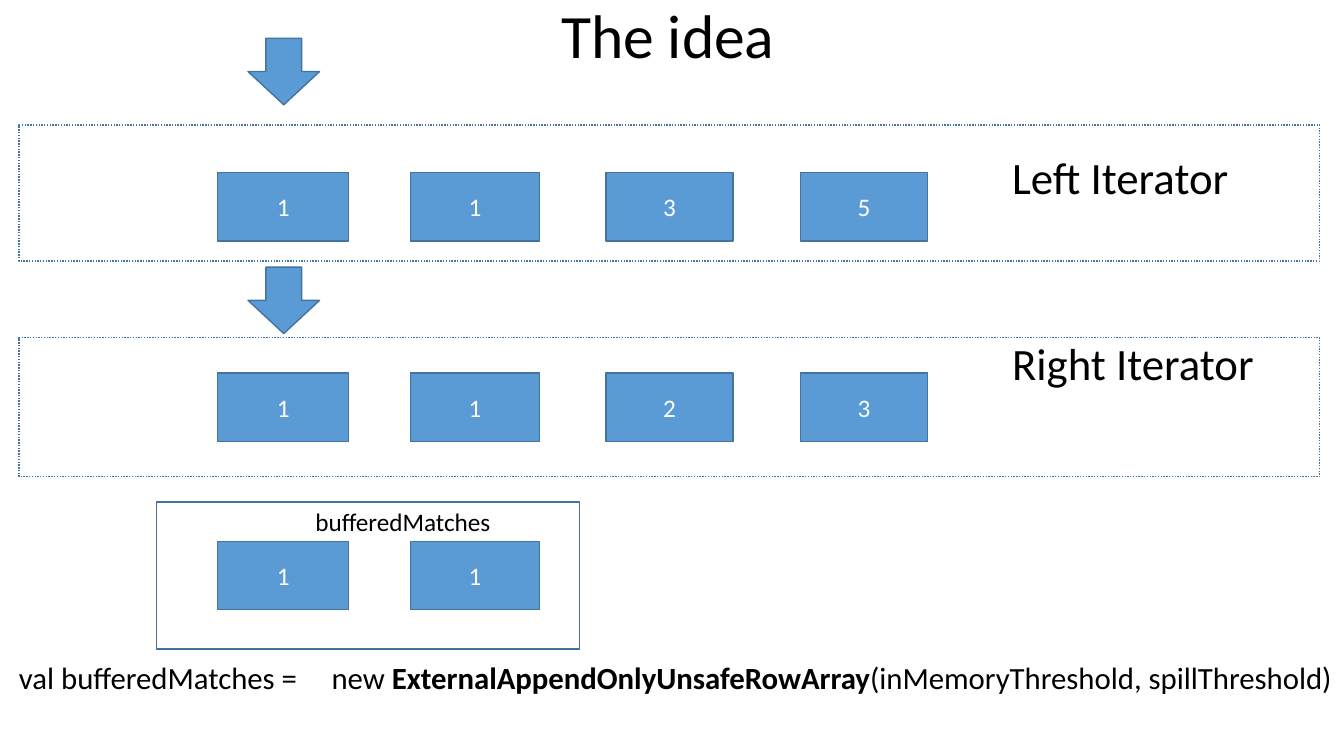
from dataclasses import dataclass

from lxml import etree
from pptx import Presentation
from pptx import util as u
from pptx.dml.color import RGBColor
from pptx.enum import dml, shapes, text

FONT = "Calibri"
BLUE, EDGE, BLACK, WHITE = "5B9BD5", "43739E", "000000", "FFFFFF"
TUPLE_HEIGHT = 0.68
COLUMNS = ((2.16, 1.3), (4.07, 1.28), (6.01, 1.26), (7.94, 1.26))


@dataclass(frozen=True)
class Box:
    left: float
    top: float
    width: float
    height: float


@dataclass(frozen=True)
class Frame:
    box: Box
    dash: dml.MSO_LINE | None = None


@dataclass(frozen=True)
class Row:
    top: float
    values: str


@dataclass(frozen=True)
class Label:
    box: Box
    words: tuple[str, ...]
    size: int
    bold_word: int | None = None


FRAMES = (
    Frame(Box(1.55, 4.98, 4.2, 1.46)),
    Frame(Box(0.19, 1.24, 12.9, 1.35), dml.MSO_LINE.ROUND_DOT),
    Frame(Box(0.19, 3.35, 12.9, 1.38), dml.MSO_LINE.ROUND_DOT),
)
ROWS = (Row(1.71, "1135"), Row(3.7, "1123"), Row(5.37, "11"))
ARROW_TOPS = (0.38, 2.65)
CODE = Label(
    Box(0.09, 6.49, 13.33, 0.47),
    (
        "val bufferedMatches =\tnew ",
        "ExternalAppendOnlyUnsafeRowArray",
        "(inMemoryThreshold, spillThreshold)",
    ),
    22,
    bold_word=1,
)
LABELS = (
    Label(Box(9.94, 1.44, 2.99, 0.64), ("Left Iterator",), 32),
    Label(Box(9.94, 3.28, 2.99, 0.64), ("Right Iterator",), 32),
    Label(Box(3.03, 4.97, 2.23, 0.4), ("bufferedMatches",), 18),
)


def color(value: str) -> RGBColor:
    return RGBColor.from_string(value)


def place(box: Box) -> tuple[u.Length, ...]:
    return tuple(u.Inches(x) for x in (box.left, box.top, box.width, box.height))


def set_font(para, size: int, value: str) -> None:
    para.font.name = FONT
    para.font.size = u.Pt(size)
    para.font.color.rgb = color(value)


def add_outline(page, kind: shapes.MSO_SHAPE, box: Box, fill: str | None = None):
    shape = page.shapes.add_shape(kind, *place(box))
    shape.shadow.inherit = False
    if fill:
        shape.fill.solid()
        shape.fill.fore_color.rgb = color(fill)
    else:
        shape.fill.background()
    shape.line.color.rgb = color(EDGE)
    shape.line.width = u.Pt(1)
    return shape


def add_frame(page, frame: Frame) -> None:
    shape = add_outline(page, shapes.MSO_SHAPE.RECTANGLE, frame.box)
    if frame.dash is not None:
        shape.line.dash_style = frame.dash


def add_row(page, row: Row) -> None:
    for value, (left, width) in zip(row.values, COLUMNS):
        box = Box(left, row.top, width, TUPLE_HEIGHT)
        shape = add_outline(page, shapes.MSO_SHAPE.RECTANGLE, box, BLUE)
        shape.text_frame.vertical_anchor = text.MSO_ANCHOR.MIDDLE
        para = shape.text_frame.paragraphs[0]
        para.text = value
        para.alignment = text.PP_ALIGN.CENTER
        set_font(para, 18, WHITE)


def add_label(page, label: Label):
    frame = page.shapes.add_textbox(*place(label.box)).text_frame
    frame.word_wrap = True
    frame.auto_size = text.MSO_AUTO_SIZE.SHAPE_TO_FIT_TEXT
    para = frame.paragraphs[0]
    set_font(para, label.size, BLACK)
    for index, words in enumerate(label.words):
        span = para.add_run()
        span.text = words
        if index == label.bold_word:
            span.font.bold = True
    return para


def add_tab_stop(para, position: float) -> None:
    properties = para._p.get_or_add_pPr()
    namespace = properties.nsmap["a"]
    stops = etree.Element(f"{{{namespace}}}tabLst")
    etree.SubElement(
        stops, f"{{{namespace}}}tab", pos=str(u.Inches(position)), algn="l"
    )
    properties.insert(0, stops)


def set_title(page) -> None:
    title = page.shapes.title
    title.left, title.top, title.width, title.height = place(Box(-0.08, 0, 13.41, 1.91))
    frame = title.text_frame
    frame.vertical_anchor = text.MSO_ANCHOR.TOP
    frame.auto_size = text.MSO_AUTO_SIZE.NONE
    para = frame.paragraphs[0]
    para.text = "The idea"
    para.alignment = text.PP_ALIGN.CENTER
    para.line_spacing = 0.9
    set_font(para, 44, BLACK)


def main() -> None:
    deck = Presentation()
    deck.slide_width, deck.slide_height = u.Inches(13.33), u.Inches(7.5)
    page = deck.slides.add_slide(deck.slide_layouts.get_by_name("Title Only"))
    set_title(page)
    for frame in FRAMES:
        add_frame(page, frame)
    for row in ROWS:
        add_row(page, row)
    for label in LABELS:
        add_label(page, label)
    add_tab_stop(add_label(page, CODE), 3.1)
    for top in ARROW_TOPS:
        add_outline(page, shapes.MSO_SHAPE.DOWN_ARROW, Box(2.46, top, 0.71, 0.66), BLUE)
    deck.save("out.pptx")


if __name__ == "__main__":
    main()
